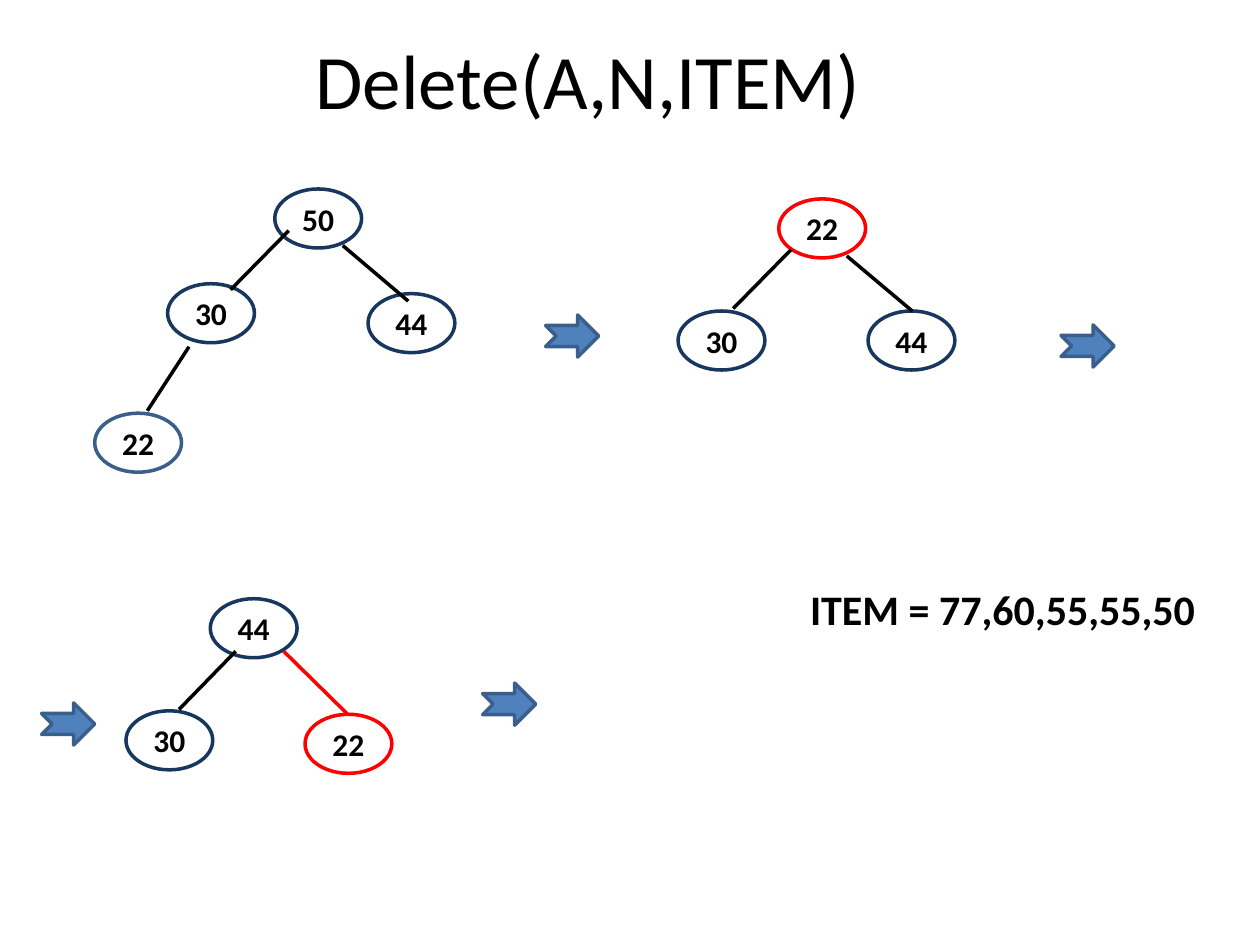
from lxml.etree import SubElement
from pptx import Presentation
from pptx.dml.color import RGBColor
from pptx.enum.shapes import MSO_CONNECTOR, MSO_SHAPE
from pptx.enum.text import MSO_ANCHOR, PP_ALIGN
from pptx.oxml.ns import qn
from pptx.util import Cm, Pt

COLORS = {
    "text": "000000",
    "edge": "000000",
    "node": "17375E",
    "leaf": "3A5F8C",
    "moved": "FF0000",
    "arrow": "4F81BD",
    "arrow_border": "3A5F8C",
}
FONT = "Calibri"
NODE_WIDTH, NODE_HEIGHT = 1.75, 1.19
ARROW_WIDTH, ARROW_HEIGHT = 1.07, 0.85

# Nodes: (key, left, top, colour); edges: (start, end, colour); lengths in cm
HEAP_BEFORE = (
    [("50", 5.54, 3.81, "node"), ("44", 7.42, 5.92, "node"),
     ("30", 3.38, 5.72, "node"), ("22", 1.91, 8.33, "leaf")],
    [((4.65, 5.84), (5.82, 4.65), "edge"),
     ((6.91, 4.95), (8.23, 6.07), "edge"),
     ((2.97, 8.28), (3.81, 6.99), "edge")],
)
LAST_MOVED_TO_ROOT = (
    [("22", 15.7, 4.01, "moved"), ("30", 13.67, 6.27, "node"),
     ("44", 17.5, 6.27, "node")],
    [((14.78, 6.22), (15.95, 5.03), "edge"),
     ((17.07, 5.16), (18.39, 6.27), "edge")],
)
HEAP_RESTORED = (
    [("22", 6.15, 14.4, "moved"), ("30", 2.54, 14.33, "node"),
     ("44", 4.24, 12.07, "node")],
    [((5.72, 13.13), (7.01, 14.4), "moved"),
     ((3.61, 14.3), (4.75, 13.13), "edge")],
)
STEP_ARROWS = [(11, 6.35), (21.39, 6.55), (9.73, 13.77), (0.84, 14.17)]


def color(name):
    return RGBColor.from_string(COLORS[name])


def style_text(paragraph, size, bold):
    for run in paragraph.runs:
        run.font.name = FONT
        run.font.size = Pt(size)
        run.font.bold = bold
        run.font.color.rgb = color("text")


def style_line(line, name):
    line.color.rgb = color(name)
    line.width = Pt(2)


def add_title(slide, text):
    title = slide.shapes.title
    title.left, title.top = Cm(0.43), Cm(0)
    title.width, title.height = Cm(22.86), Cm(3.18)
    title.text_frame.text = text
    title.text_frame.vertical_anchor = MSO_ANCHOR.MIDDLE
    title.text_frame.paragraphs[0].alignment = PP_ALIGN.CENTER
    style_text(title.text_frame.paragraphs[0], 44, False)


def add_deleted_items(slide, text):
    items = slide.shapes.add_textbox(Cm(16.08), Cm(11.63), Cm(8.69), Cm(1.27))
    items.text_frame.word_wrap = True
    items.text_frame.text = text
    style_text(items.text_frame.paragraphs[0], 24, True)


def add_node(shapes, key, left, top, border):
    node = shapes.add_shape(MSO_SHAPE.OVAL, Cm(left), Cm(top),
                            Cm(NODE_WIDTH), Cm(NODE_HEIGHT))
    node.shadow.inherit = False
    node.fill.background()
    style_line(node.line, border)
    frame = node.text_frame
    frame.margin_left = frame.margin_right = Cm(0)
    frame.margin_top = frame.margin_bottom = Cm(0)
    frame.vertical_anchor = MSO_ANCHOR.MIDDLE
    frame.text = key
    frame.paragraphs[0].alignment = PP_ALIGN.CENTER
    style_text(frame.paragraphs[0], 18, True)


def add_edge(shapes, start, end, name):
    edge = shapes.add_connector(MSO_CONNECTOR.STRAIGHT,
                                *map(Cm, start), *map(Cm, end))
    style_line(edge.line, name)
    SubElement(edge._element.spPr, qn("a:effectLst"))


def add_tree(slide, nodes, edges):
    """Group one heap, with its edges in front of its nodes."""
    tree = slide.shapes.add_group_shape()
    for node in nodes:
        add_node(tree.shapes, *node)
    for edge in edges:
        add_edge(tree.shapes, *edge)


def add_step_arrow(slide, left, top):
    arrow = slide.shapes.add_shape(MSO_SHAPE.NOTCHED_RIGHT_ARROW, Cm(left), Cm(top),
                                   Cm(ARROW_WIDTH), Cm(ARROW_HEIGHT))
    arrow.shadow.inherit = False
    arrow.fill.solid()
    arrow.fill.fore_color.rgb = color("arrow")
    style_line(arrow.line, "arrow_border")


def main():
    presentation = Presentation()
    presentation.slide_width, presentation.slide_height = Cm(25.4), Cm(19.05)
    title_only = presentation.slide_layouts[5]
    slide = presentation.slides.add_slide(title_only)
    add_title(slide, "Delete(A,N,ITEM)")
    add_deleted_items(slide, "ITEM = 77,60,55,55,50")
    for nodes, edges in (HEAP_BEFORE, LAST_MOVED_TO_ROOT, HEAP_RESTORED):
        add_tree(slide, nodes, edges)
    for left, top in STEP_ARROWS:
        add_step_arrow(slide, left, top)
    presentation.save("out.pptx")


if __name__ == "__main__":
    main()
